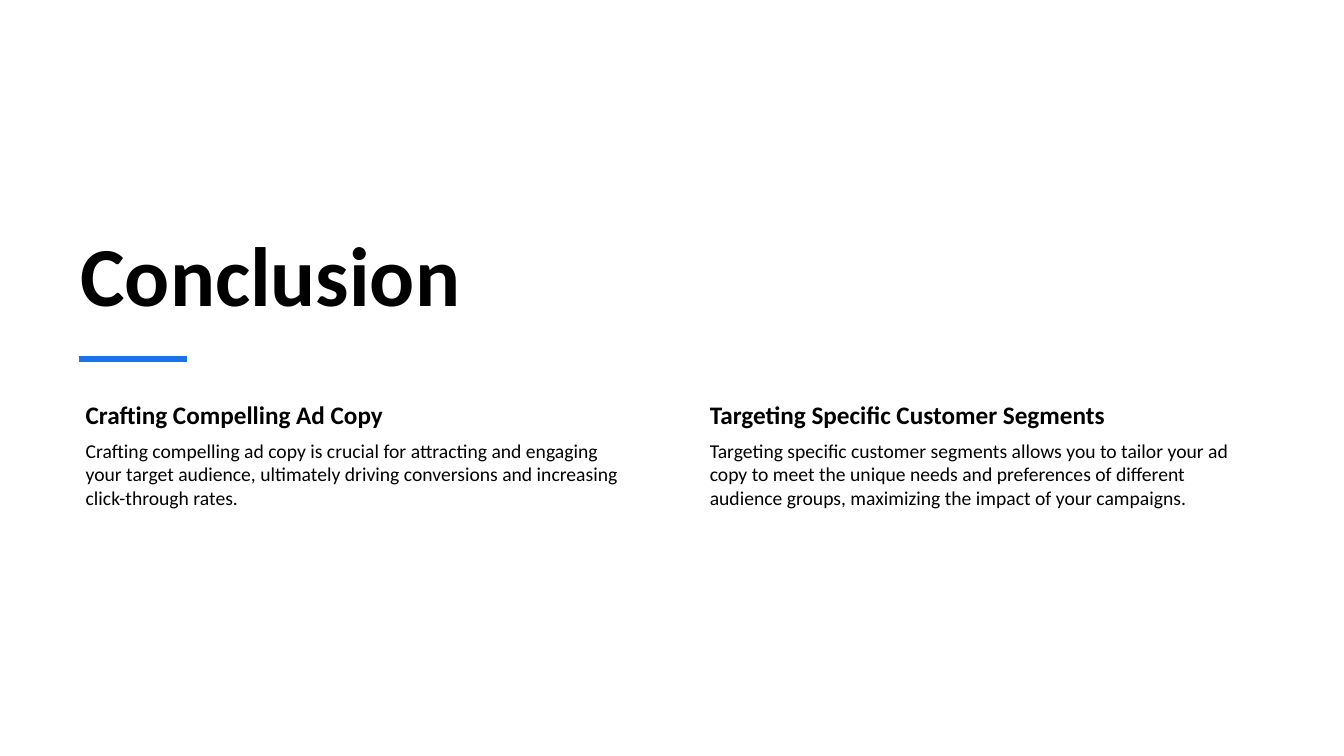
import pptx
import pptx.util
import pptx.dml.color
import pptx.enum.shapes
import pptx.enum.text
import pptx.oxml

Inches = pptx.util.Inches
RGB = pptx.dml.color.RGBColor
Anchor = pptx.enum.text.MSO_ANCHOR

WHITE = RGB(0xFF, 0xFF, 0xFF)
BLACK = RGB(0x00, 0x00, 0x00)
BLUE = RGB(0x19, 0x73, 0xEB)
WIDE, HIGH = 13.33, 7.5

POINTS = [
    ("Crafting Compelling Ad Copy",
     "Crafting compelling ad copy is crucial for attracting and engaging "
     "your target audience, ultimately driving conversions and increasing "
     "click-through rates."),
    ("Targeting Specific Customer Segments",
     "Targeting specific customer segments allows you to tailor your ad "
     "copy to meet the unique needs and preferences of different audience "
     "groups, maximizing the impact of your campaigns."),
]


def add_text(slide, text, box, size=14, bold=False, color=BLACK,
             anchor=Anchor.TOP, pads=(0.1, 0.05, 0.1, 0.05)):
    frame = slide.shapes.add_textbox(*map(Inches, box)).text_frame
    frame.word_wrap = True
    frame.vertical_anchor = anchor
    (frame.margin_left, frame.margin_top,
     frame.margin_right, frame.margin_bottom) = map(Inches, pads)
    run = frame.paragraphs[0].add_run()
    run.text = text
    run.font.name = "Calibri"
    run.font.size = pptx.util.Pt(size)
    run.font.bold = bold
    run.font.color.rgb = color


def add_panel(slide, box):
    panel = slide.shapes.add_shape(
        pptx.enum.shapes.MSO_SHAPE.RECTANGLE, *map(Inches, box))
    panel.shadow.inherit = False
    panel.fill.solid()
    panel.fill.fore_color.rgb = WHITE
    panel.line.fill.background()


def add_header(slide, box):
    left, top, width, height = box
    add_text(slide, "Conclusion", box, size=60, bold=True,
             anchor=Anchor.BOTTOM)
    # Accent rule under the title
    start, level = left + 0.08, top + height + 0.3
    rule = slide.shapes.add_connector(
        pptx.enum.shapes.MSO_CONNECTOR.STRAIGHT,
        *map(Inches, (start, level, start + 1.07, level)))
    rule.line.color.rgb = BLUE
    rule.line.width = pptx.util.Pt(4.5)
    rule._element.spPr.append(pptx.oxml.parse_xml(
        '<a:effectLst xmlns:a='
        '"http://schemas.openxmlformats.org/drawingml/2006/main"/>'))


def add_point(slide, box, head, body):
    left, top, width, height = box
    split = 0.4
    add_text(slide, head, (left, top, width, split), size=18, bold=True,
             pads=(0.15, 0.03, 0.03, 0.03))
    add_text(slide, body, (left, top + split, width, height - split),
             pads=(0.15, 0.02, 0.02, 0.02))


def add_points(slide, box, gap):
    left, top, width, height = box
    span = (width - gap * (len(POINTS) - 1)) / len(POINTS)
    for i, (head, body) in enumerate(POINTS):
        add_point(slide, (left + i * (span + gap), top, span, height),
                  head, body)


def main():
    deck = pptx.Presentation()
    deck.slide_width, deck.slide_height = Inches(WIDE), Inches(HIGH)
    slide = deck.slides.add_slide(deck.slide_layouts[6])
    # Backdrop
    add_panel(slide, (0, 0, WIDE, HIGH))
    # Title and rule
    add_header(slide, (0.7, 1.72, 8.93, 1.54))
    # Two columns of takeaways
    add_points(slide, (0.7, 3.93, 11.82, 2.74), gap=0.56)
    deck.save("out.pptx")


if __name__ == "__main__":
    main()
